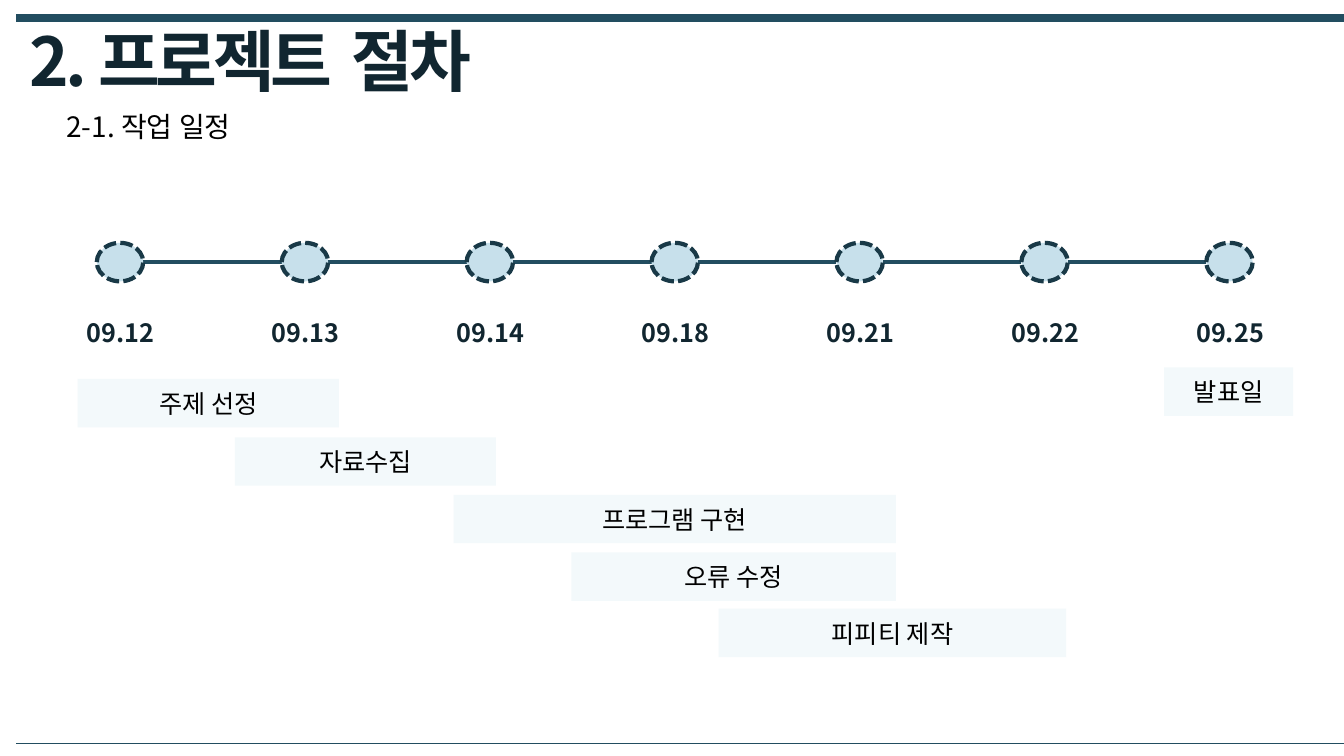
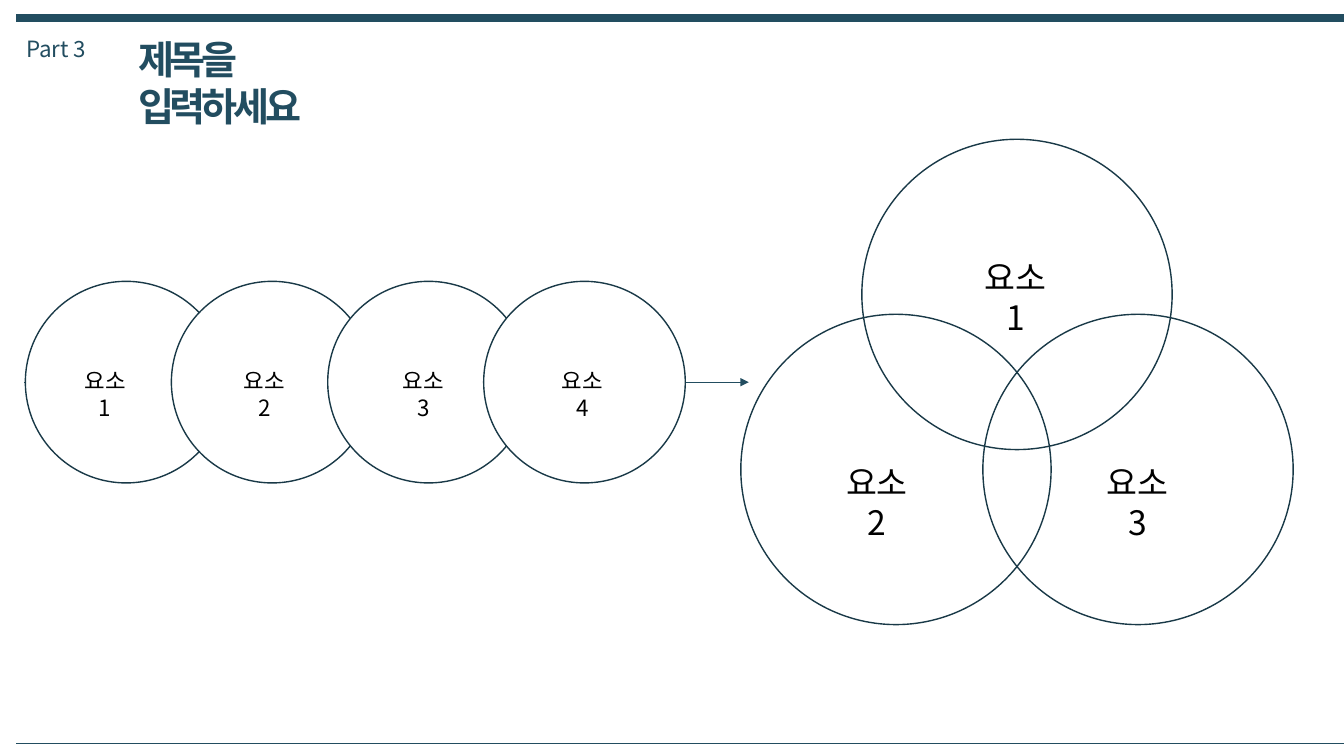
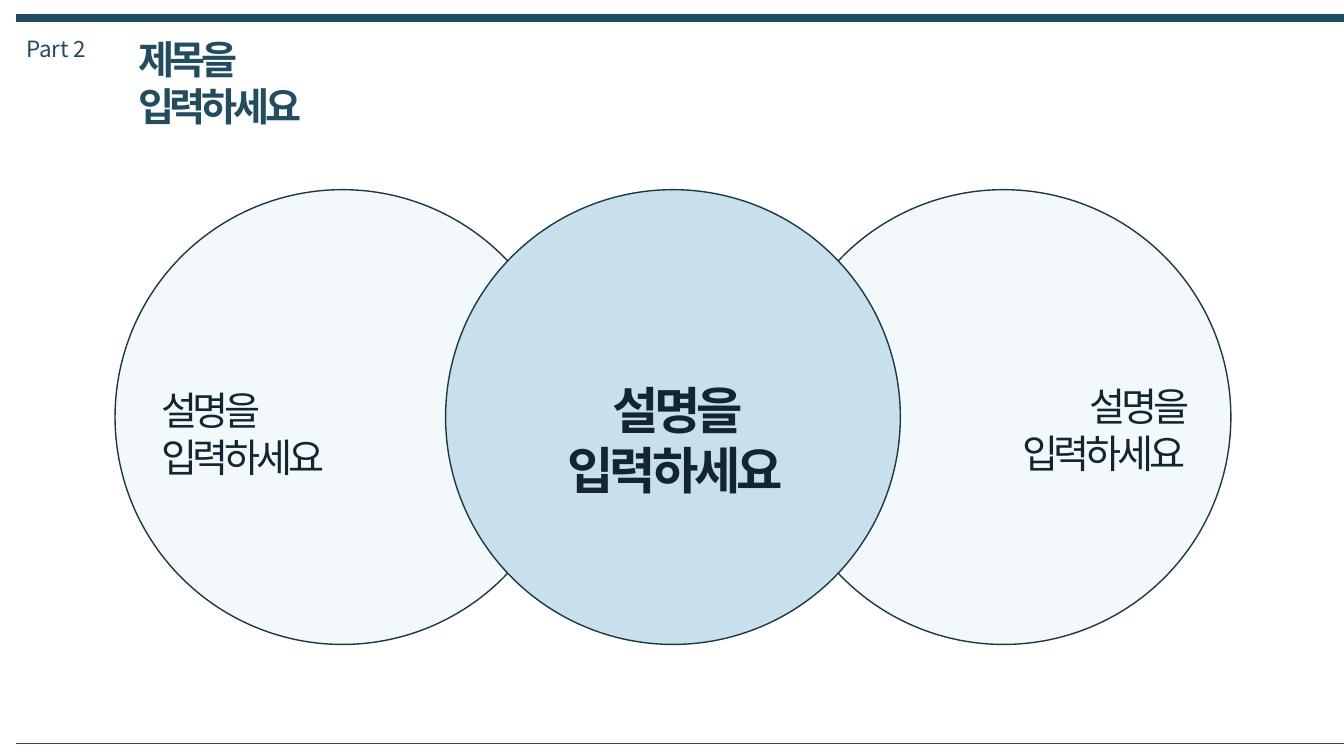
"""Build three slides: a work schedule, an element diagram and three overlapping circles."""
from lxml import etree
from pptx import Presentation
from pptx import util as u
from pptx.dml.color import RGBColor
from pptx.enum import dml, shapes, text
from pptx.oxml import ns

FONT = "Noto Sans CJK KR"
TEAL = RGBColor(0x22, 0x4D, 0x60)
DARK = RGBColor(0x19, 0x39, 0x47)
INK = RGBColor(0x11, 0x26, 0x30)
BLACK = RGBColor(0, 0, 0)
WHITE = RGBColor(0xFF, 0xFF, 0xFF)
SKY = RGBColor(0xC7, 0xE0, 0xEB)
PALE = RGBColor(0xF3, 0xF9, 0xFB)
LEFT, CENTER, RIGHT = text.PP_ALIGN.LEFT, text.PP_ALIGN.CENTER, text.PP_ALIGN.RIGHT
OVAL, RECT = shapes.MSO_SHAPE.OVAL, shapes.MSO_SHAPE.RECTANGLE


def draw(s, kind, x, y, w, h, fill=None, width=0):
    """Add a preset shape, or a text box when kind is None; lengths in cm."""
    box = [u.Cm(v) for v in (x, y, w, h)]
    if kind is None:
        sp = s.shapes.add_textbox(*box)
        sp.text_frame.auto_size = text.MSO_AUTO_SIZE.SHAPE_TO_FIT_TEXT
        return sp
    sp = s.shapes.add_shape(kind, *box)
    sp.shadow.inherit = False
    if fill is None:
        sp.fill.background()
    else:
        sp.fill.solid()
        sp.fill.fore_color.rgb = fill
    if width:
        sp.line.color.rgb = DARK
        sp.line.width = u.Pt(width)
    else:
        sp.line.fill.background()
    return sp


def write(sp, runs, size, color=BLACK, bold=False, align=LEFT, spacing=0):
    """Write one paragraph of runs into a shape and return it."""
    tf = sp.text_frame
    tf.word_wrap = True
    p = tf.paragraphs[0]
    p.alignment = align
    p.font.name = FONT
    p.font.size = u.Pt(size)
    p.font.bold = bold
    p.font.color.rgb = color
    props = p._p.pPr.find(ns.qn("a:defRPr"))
    props.set("spc", str(spacing * 100))
    etree.SubElement(props, ns.qn("a:ea"), typeface=FONT)
    for words in runs:
        p.add_run().text = words
    return p


prs = Presentation()
prs.slide_width, prs.slide_height = u.Cm(33.87), u.Cm(19.05)
schedule, elements, circles = [prs.slides.add_slide(prs.slide_layouts[6]) for _ in range(3)]

NODE_X, NODE_Y, NODE_W, NODE_H, PITCH = 2.44, 6.12, 1.17, 0.97, 4.66
dates = ["09.12", "09.13", "09.14", "09.18", "09.21", "09.22", "09.25"]

lines = []
for s in prs.slides:
    lines += [(s, 0.41, 33.91, 0.46, 6), (s, 0.41, 33.91, 18.72, 0.25)]
for i in range(len(dates) - 1):
    x = NODE_X + i * PITCH
    lines.append((schedule, x + NODE_W, x + PITCH, NODE_Y + NODE_H / 2, 3.25))
lines.append((elements, 0.61, 18.87, 9.63, 0.5))
for s, x1, x2, y, width in lines:
    cx = s.shapes.add_connector(shapes.MSO_CONNECTOR.STRAIGHT, u.Cm(x1), u.Cm(y), u.Cm(x2), u.Cm(y))
    cx.line.color.rgb = TEAL
    cx.line.width = u.Pt(width)
    etree.SubElement(cx._element.spPr, ns.qn("a:effectLst"))
etree.SubElement(cx.line._get_or_add_ln(), ns.qn("a:tailEnd"), type="triangle")

for s, part in ((elements, "Part 3"), (circles, "Part 2")):
    write(draw(s, None, 0.41, 0.76, 2.4, 0.94), [part], 16, TEAL)
    write(draw(s, None, 3.23, 0.76, 6.7, 1.45), ["제목을 입력하세요"], 28, TEAL, True, spacing=-3)

p = write(draw(schedule, None, 0.5, -0.05, 13.6, 2.82), ["2. 프로젝트", " ", "절차"], 48, INK, True, spacing=-3)
p.runs[1].font.size = u.Pt(60)
write(draw(schedule, None, 1.42, 2.64, 7.8, 1.12), ["2-1. 작업 일정"], 20)

for i, date in enumerate(dates):
    x = NODE_X + i * PITCH
    sp = draw(schedule, OVAL, x, NODE_Y, NODE_W, NODE_H, SKY, 3)
    sp.line.dash_style = dml.MSO_LINE.SQUARE_DOT
    write(draw(schedule, None, x - 0.55, 7.87, 2.3, 1.02), [date], 18, INK, True, CENTER)

tasks = [
    ("주제 선정", 1.96, 9.55, 6.58),
    ("자료수집", 5.92, 11.02, 6.58),
    ("프로그램 구현", 11.43, 12.47, 11.15),
    ("오류 수정", 14.4, 13.92, 8.18),
    ("피피티 제작", 18.11, 15.34, 8.76),
    ("발표일", 29.34, 9.26, 3.25),
]
for name, x, y, w in tasks:
    sp = draw(schedule, RECT, x, y, w, 1.22, PALE)
    sp.text_frame.vertical_anchor = text.MSO_ANCHOR.MIDDLE
    write(sp, [name], 18, align=CENTER)

for x, y in ((18.67, 7.92), (21.72, 3.51), (24.77, 7.92)):
    draw(elements, OVAL, x, y, 7.82, 7.82, width=1)
for x in (0.64, 4.32, 8.26, 12.19):
    draw(elements, OVAL, x, 7.09, 5.08, 5.08, WHITE, 1)
for i in range(4):
    write(draw(elements, None, 1.7 + i * 4.01, 9.12, 1.9, 0.94), [f"요소 {i + 1}"], 16, align=CENTER)
for i, (x, y) in enumerate(((24.3, 6.35), (20.8, 11.51), (27.37, 11.51)), 1):
    write(draw(elements, None, x, y, 2.6, 1.27), [f"요소 {i}"], 24, align=CENTER)

for x, fill in ((2.9, PALE), (19.56, PALE), (11.23, SKY)):
    draw(circles, OVAL, x, 4.78, 11.46, 11.46, fill, 1)
for x, y, w, size, bold, align in (
    (12.67, 9.42, 8.7, 36, True, CENTER),
    (3.81, 9.6, 6.7, 28, False, LEFT),
    (23.42, 9.5, 6.7, 28, False, RIGHT),
):
    write(draw(circles, None, x, y, w, 1.45), ["설명을 입력하세요"], size, INK, bold, align, -3)

prs.save("out.pptx")
